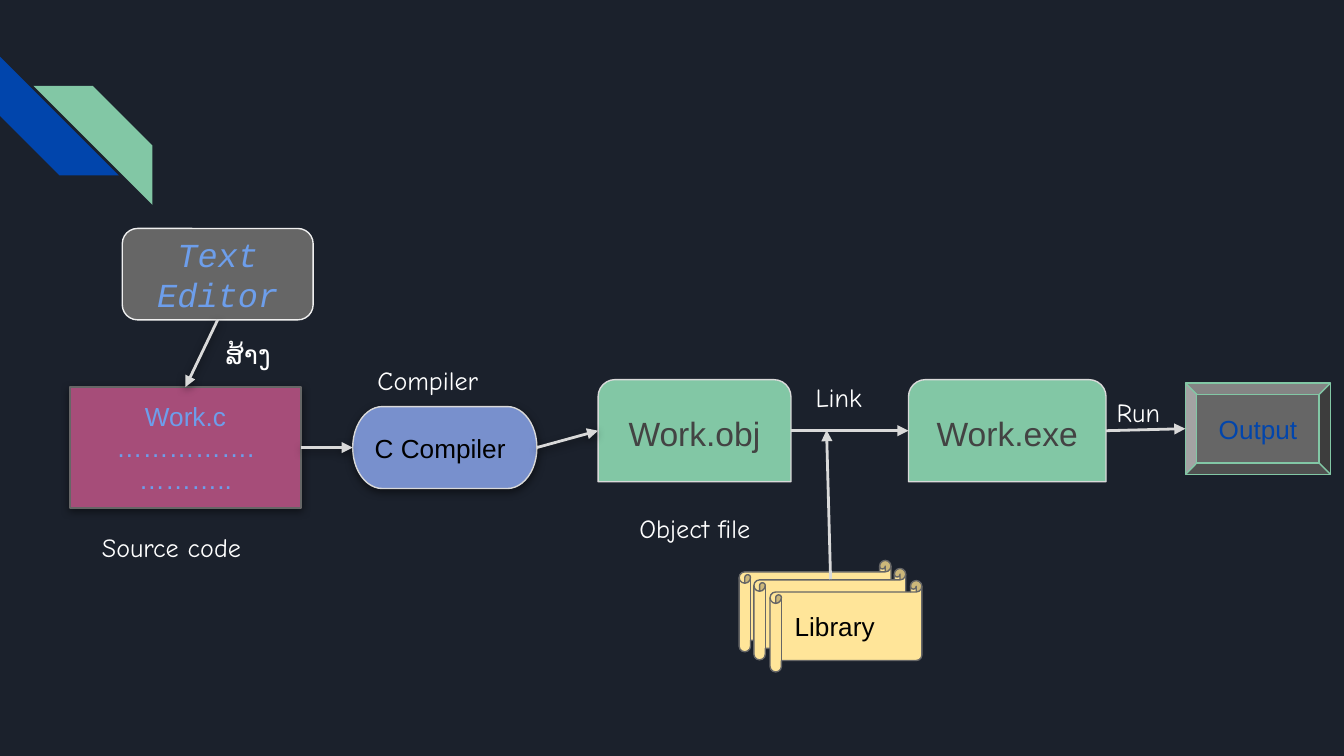
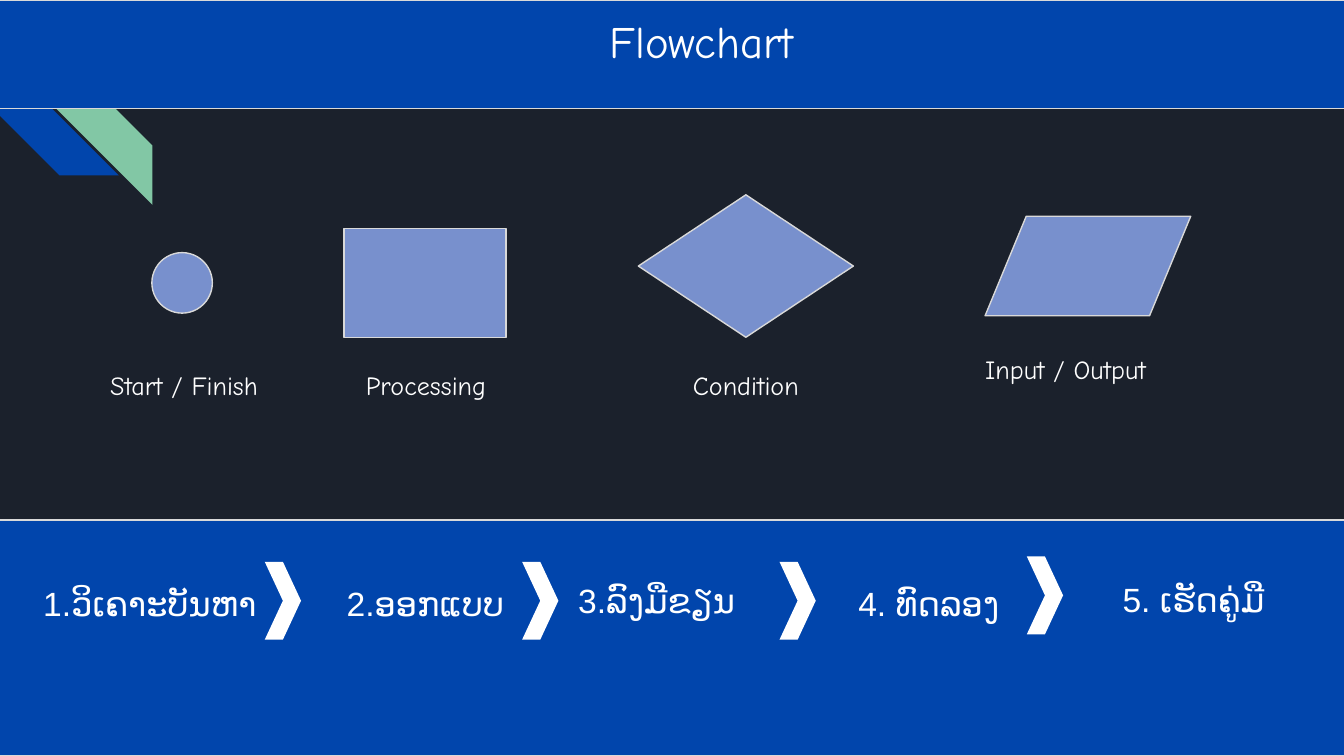
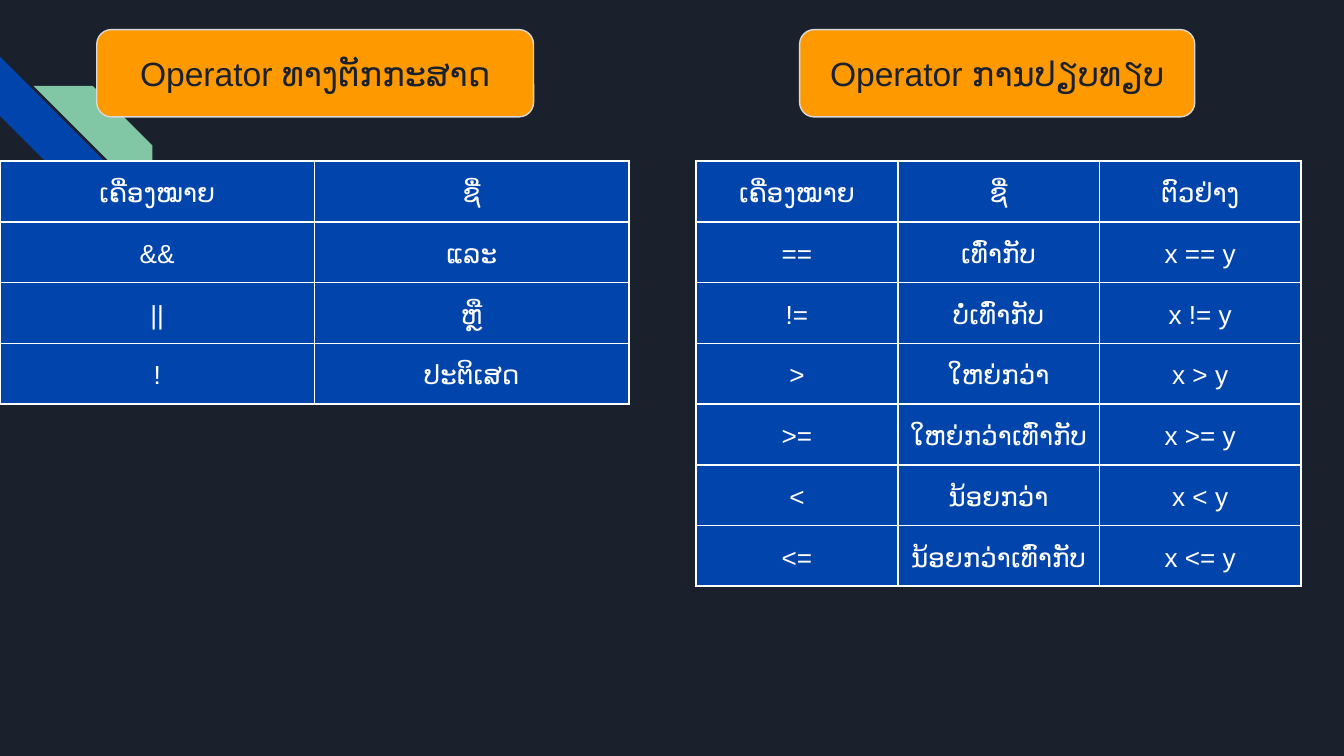
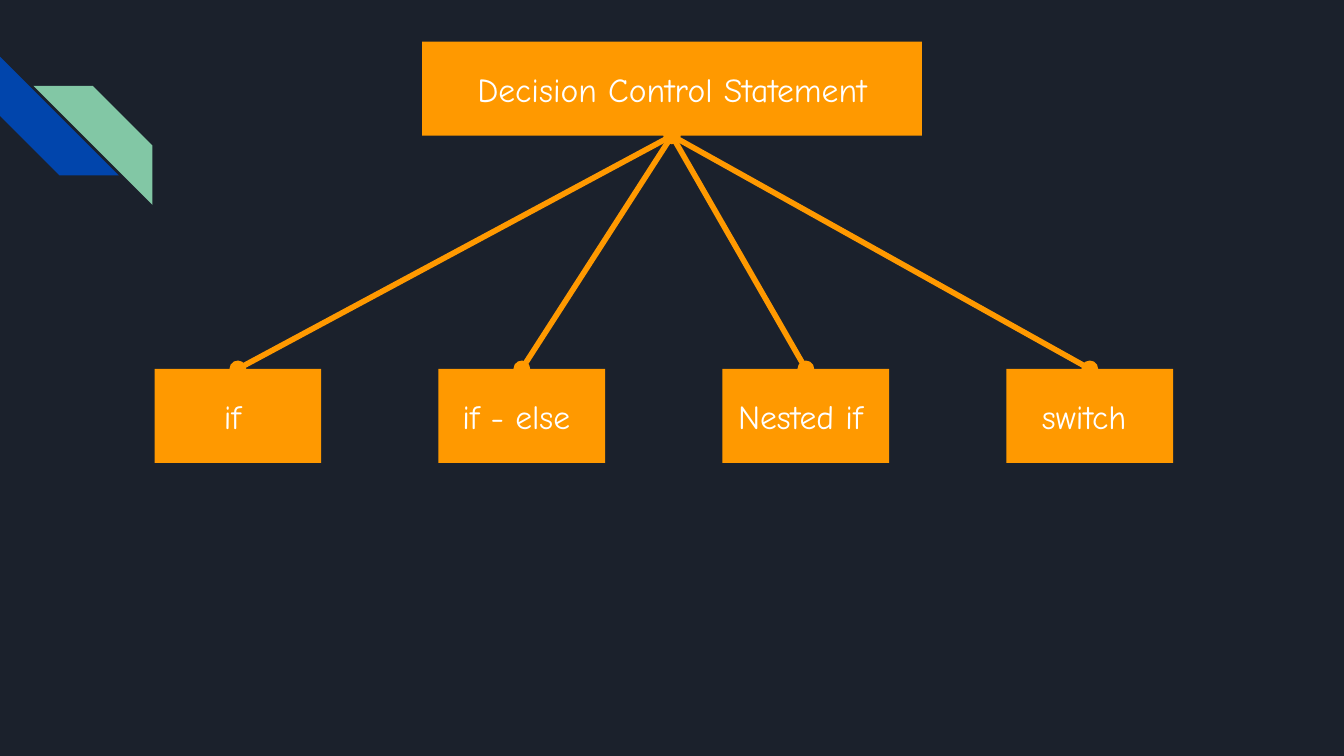
import pptx
import pptx.dml.color
import pptx.enum.shapes
import pptx.enum.text
import pptx.oxml
import pptx.oxml.ns
import pptx.util
from dataclasses import dataclass

KIND = pptx.enum.shapes.MSO_SHAPE
ALIGN = pptx.enum.text.PP_ALIGN
ANCHOR = pptx.enum.text.MSO_ANCHOR


@dataclass(frozen=True)
class Theme:
    night: str = "1B212C"
    blue: str = "0145AC"
    green: str = "82C7A5"
    periwinkle: str = "7890CD"
    orange: str = "FF9900"
    plum: str = "A64D79"
    gray: str = "666666"
    paper: str = "FFE599"
    sky: str = "6D9EEB"
    ink: str = "434343"
    pale: str = "D9D9D9"
    mist: str = "EFEFEF"
    white: str = "FFFFFF"
    black: str = "000000"
    sans: str = "Arial"
    hand: str = "Comic Neue"
    mono: str = "Courier New"
    lao: str = "Lato"
    title: int = 24
    large: int = 18
    body: int = 14
    thin: float = 0.75
    arrow: float = 1.5
    branch: float = 3


T = Theme()

# The slide is a grid of 100 columns by 56.25 rows; every place below is
# (left, top, width, height) in these square cells.
COLUMNS, ROWS = 100, 56.25
CELL = pptx.util.Inches(0.1)

# Text styles: size, font, colour, italic
TITLE = dict(size=T.title, name=T.hand, color=T.white)
LABEL = dict(size=T.body, name=T.hand, color=T.white)
LAO_LABEL = dict(size=T.body, name=T.lao, color=T.white)
CELL_TEXT = dict(size=T.body, name=T.sans, color=T.white)
STEP = dict(size=T.large, name=T.sans, color=T.white)
BRANCH = dict(size=T.large, name=T.hand, color=T.white)
HEADING = dict(size=T.large, name=T.sans, color=T.night)
EDITOR = dict(size=T.large, name=T.mono, color=T.sky, italic=True)
SOURCE = dict(size=T.body, name=T.sans, color=T.sky)
BINARY = dict(size=T.large, name=T.sans, color=T.ink)
PLAIN = dict(size=T.body, name=T.sans, color=T.black)
RESULT = dict(size=T.body, name=T.sans, color=T.blue)

# Slide 1: compile steps
STAGES = {
    "source": dict(kind=KIND.RECTANGLE, at=(5.2, 28.8, 17.2, 9), fill=T.plum, line=T.gray,
                   shadow=True, lines=["Work.c", "…………….", "……….."], style=SOURCE,
                   anchor=ANCHOR.TOP),
    "editor": dict(kind=KIND.ROUNDED_RECTANGLE, at=(9.1, 17, 14.2, 6.8), fill=T.gray,
                   line=T.mist, lines=["Text", "Editor"], style=EDITOR),
    "compiler": dict(kind=KIND.FLOWCHART_TERMINATOR, at=(26.25, 30.25, 13.7, 6.1),
                     fill=T.periwinkle, line=T.pale, shadow=True, lines=["C Compiler"],
                     style=PLAIN, align=ALIGN.LEFT),
    "object": dict(kind=KIND.ROUND_2_SAME_RECTANGLE, at=(44.5, 28.25, 14.35, 7.6), fill=T.green,
                   line=T.pale, lines=["Work.obj"], style=BINARY),
    "program": dict(kind=KIND.ROUND_2_SAME_RECTANGLE, at=(67.6, 28.25, 14.7, 7.6), fill=T.green,
                    line=T.pale, lines=["Work.exe"], style=BINARY),
    "library back": dict(kind=KIND.HORIZONTAL_SCROLL, at=(55, 41.7, 11.3, 6.8), fill=T.paper,
                         line=T.gray),
    "library middle": dict(kind=KIND.HORIZONTAL_SCROLL, at=(56.1, 42.3, 11.3, 6.8),
                           fill=T.paper, line=T.gray),
    "library": dict(kind=KIND.HORIZONTAL_SCROLL, at=(57.3, 43.2, 11.3, 6.8), fill=T.paper,
                    line=T.gray, lines=["Library"], style=PLAIN, align=ALIGN.LEFT),
    "output": dict(kind=KIND.BEVEL, at=(88.2, 28.5, 10.8, 6.8), fill=T.gray, line=T.green,
                   lines=["Output"], style=RESULT),
}
# from, its side, to, its side, shadow
FLOW = [
    ("editor", "bottom", "source", "top", True),
    ("source", "right", "compiler", "left", True),
    ("compiler", "right", "object", "left", True),
    ("object", "right", "program", "left", False),
    ("program", "right", "output", "left", False),
]
LIBRARY_LINK = (61.8, 43.1), (61.5, 32)
STAGE_LABELS = [
    ("ສ້າງ", (15.8, 24.2, 5.9, 4.1), LAO_LABEL, {}),
    ("Compiler", (27.1, 26.1, 12.1, 4.1), LABEL, {}),
    ("Link", (59.7, 27.4, 6.7, 4.1), LABEL, {}),
    ("Run", (82.1, 28.5, 6.7, 4.1), LABEL, {}),
    ("Source code", (6.6, 38.2, 14.3, 3.3), LABEL, dict(line_spacing=1.15)),
    ("Object file", (45.2, 36.8, 13, 3.3), LABEL, dict(line_spacing=1.15, alignment=ALIGN.CENTER)),
]

# Slide 2: flowchart symbols and working steps
BANDS = [(-0.1, 0, 100.3, 8.1), (-0.1, 38.7, 100.3, 17.5)]
FLOWCHART_TITLE = "Flowchart", (18.4, 0, 67.6, 8.1)
SYMBOLS = [
    (KIND.FLOWCHART_CONNECTOR, (11.3, 18.8, 4.5, 4.5), "Start / Finish", (5, 26.5, 17.4, 5.7)),
    (KIND.RECTANGLE, (25.6, 17, 12.05, 8.1), "Processing", (23.7, 26.5, 16, 5.7)),
    (KIND.FLOWCHART_DECISION, (47.5, 14.5, 16, 10.6), "Condition", (47.5, 26.5, 16, 5.7)),
    (KIND.FLOWCHART_DATA, (73.3, 16.1, 15.3, 7.4), "Input / Output", (71.3, 25.3, 16, 5.7)),
]
STEPS = [
    ("1.ວິເຄາະບັນຫາ", (1.9, 42.4, 18.5, 4.5), ANCHOR.TOP),
    ("2.ອອກແບບ", (22.4, 42.4, 18.5, 3.9), ANCHOR.TOP),
    ("3.ລົງມືຂຽນ", (39.6, 42.7, 18.5, 3.9), ANCHOR.MIDDLE),
    ("4. ທົດລອງ", (61.7, 42.4, 14.8, 4.5), ANCHOR.TOP),
    ("5. ເຮັດຄູ່ມື", (81.4, 42.1, 14.8, 4.5), ANCHOR.TOP),
]
CHEVRON_SIZE = 2.7, 5.8
CHEVRONS = [(19.7, 41.8), (38.85, 41.8), (58, 41.8), (76.4, 41.4)]

# Slide 3: operators
OPERATORS = [
    dict(heading="Operator ທາງຕັກກະສາດ", heading_at=(7.2, 2.2, 32.5, 6.5), left=0, column=23.4,
         rows=[("ເຄື່ອງໝາຍ", "ຊື່"), ("&&", "ແລະ"), ("||", "ຫຼື"), ("!", "ປະຕິເສດ")]),
    dict(heading="Operator ການປຽບທຽບ", heading_at=(59.5, 2.2, 29.4, 6.5), left=51.8, column=15,
         rows=[("ເຄື່ອງໝາຍ", "ຊື່", "ຕົວຢ່າງ"),
               ("==", "ເທົ່າກັບ", "x == y"),
               ("!=", "ບໍ່ເທົ່າກັບ", "x != y"),
               (">", "ໃຫຍ່ກວ່າ", "x > y"),
               (">=", "ໃຫຍ່ກວ່າເທົ່າກັບ", "x >= y"),
               ("<", "ນ້ອຍກວ່າ", "x < y"),
               ("<=", "ນ້ອຍກວ່າເທົ່າກັບ", "x <= y")]),
]
TABLE_TOP, HEADER_ROW, BODY_ROW = 12, 4.2, 4.5

# Slide 4: decision statements
DECISION = "Decision Control Statement", (31.4, 3.1, 37.2, 7)
DECISION_KINDS = ["if ", "if - else ", "Nested if ", "switch "]
KIND_LEFT, KIND_TOP, KIND_STEP, KIND_SIZE = 11.5, 27.45, 21.13, (12.4, 7)


# Helpers
def cells(*lengths):
    return [round(length * CELL) for length in lengths]


def rgb(color):
    return pptx.dml.color.RGBColor.from_string(color)


def add_xml(parent, tag, **attributes):
    child = pptx.oxml.ns.qn(tag)
    element = parent.makeelement(child, {key: str(value) for key, value in attributes.items()})
    parent.append(element)
    return element


def paint(fill, color):
    fill.solid()
    fill.fore_color.rgb = rgb(color)


def cast_shadow(properties, visible):
    effects = add_xml(properties, "a:effectLst")
    if visible:
        shadow = add_xml(effects, "a:outerShdw", blurRad=pptx.util.Pt(4.5),
                         dist=pptx.util.Pt(1.5), dir=90 * 60000, algn="bl", rotWithShape=0)
        tint = add_xml(shadow, "a:srgbClr", val=T.black)
        add_xml(tint, "a:alpha", val=50000)


def write(frame, lines, style, **layout):
    for number, line in enumerate(lines):
        paragraph = frame.paragraphs[0] if number == 0 else frame.add_paragraph()
        for attribute, value in layout.items():
            setattr(paragraph, attribute, value)
        run = paragraph.add_run()
        run.text = line
        values = dict(style, size=pptx.util.Pt(style["size"]))
        run.font.color.rgb = rgb(values.pop("color"))
        for attribute, value in values.items():
            setattr(run.font, attribute, value)
        for script in ("a:ea", "a:cs"):
            add_xml(run.font._element, script, typeface=style["name"])


def prepare(frame, anchor):
    values = dict.fromkeys(("margin_left", "margin_right", "margin_top", "margin_bottom"), CELL)
    values.update(word_wrap=True, vertical_anchor=anchor)
    for attribute, value in values.items():
        setattr(frame, attribute, value)


def add_label(slide, text, at, style, anchor=ANCHOR.TOP, **layout):
    frame = slide.shapes.add_textbox(*cells(*at)).text_frame
    prepare(frame, anchor)
    write(frame, [text], style, **layout)


def add_part(slide, kind, at, fill, line=None, shadow=False, lines=(), style=None,
             align=ALIGN.CENTER, anchor=ANCHOR.MIDDLE):
    part = slide.shapes.add_shape(kind, *cells(*at))
    paint(part.fill, fill)
    if line:
        paint(part.line.fill, line)
        part.line.width = pptx.util.Pt(T.thin)
    else:
        part.line.fill.background()
    if shadow:
        cast_shadow(part._element.spPr, True)
    else:
        part.shadow.inherit = False
    prepare(part.text_frame, anchor)
    write(part.text_frame, lines, style, alignment=align)
    return part


def add_line(slide, start, end, color, width, shadow=False, **ends):
    line = slide.shapes.add_connector(pptx.enum.shapes.MSO_CONNECTOR.STRAIGHT,
                                      *cells(*start, *end))
    paint(line.line.fill, color)
    line.line.width = pptx.util.Pt(width)
    for end_name in ("headEnd", "tailEnd"):
        if end_name in ends:
            add_xml(line.line._get_or_add_ln(), "a:" + end_name, type=ends[end_name])
    cast_shadow(line._element.spPr, shadow)


def side(at, name):
    left, top, width, height = at
    across, down = {"top": (0.5, 0), "bottom": (0.5, 1), "left": (0, 0.5), "right": (1, 0.5)}[name]
    return left + across * width, top + down * height


def add_slide(deck):
    slide = deck.slides.add_slide(deck.slide_layouts[6])
    blue = add_part(slide, KIND.DIAGONAL_STRIPE, (0, 4.2, 8.85, 8.85), T.blue)
    blue.rotation = 270
    green = add_part(slide, KIND.DIAGONAL_STRIPE, (2.5, 6.4, 8.85, 8.85), T.green)
    green._element.spPr.xfrm.set("flipH", "1")
    return slide


def add_grid(slide, rows, left, column):
    heights = [HEADER_ROW] + [BODY_ROW] * (len(rows) - 1)
    place = cells(left, TABLE_TOP, column * len(rows[0]), sum(heights))
    table = slide.shapes.add_table(len(rows), len(rows[0]), *place).table
    table.first_row = table.horz_banding = False
    for table_column in table.columns:
        table_column.width = cells(column)[0]
    for table_row, height, texts in zip(table.rows, heights, rows):
        table_row.height = cells(height)[0]
        for cell, text in zip(table_row.cells, texts):
            cell.margin_left = cell.margin_right = cells(0.75)[0]
            cell.margin_top = cell.margin_bottom = CELL
            for edge in ("a:lnL", "a:lnR", "a:lnT", "a:lnB"):
                border = add_xml(cell._tc.get_or_add_tcPr(), edge, w=pptx.util.Pt(1))
                add_xml(add_xml(border, "a:solidFill"), "a:srgbClr", val=T.white)
            paint(cell.fill, T.blue)
            write(cell.text_frame, [text], CELL_TEXT, alignment=ALIGN.CENTER, line_spacing=1.15)


# Slides
def compile_slide(slide):
    for stage in STAGES.values():
        add_part(slide, **stage)
    for source, source_side, target, target_side, shadow in FLOW:
        add_line(slide, side(STAGES[source]["at"], source_side),
                 side(STAGES[target]["at"], target_side), T.pale, T.arrow, shadow,
                 tailEnd="triangle")
    add_line(slide, *LIBRARY_LINK, T.pale, T.arrow, tailEnd="triangle")
    for text, at, style, layout in STAGE_LABELS:
        add_label(slide, text, at, style, **layout)


def flowchart_slide(slide):
    for band in BANDS:
        add_part(slide, KIND.RECTANGLE, band, T.blue, T.pale)
    add_label(slide, *FLOWCHART_TITLE, TITLE, alignment=ALIGN.CENTER)
    for kind, at, text, text_at in SYMBOLS:
        add_part(slide, kind, at, T.periwinkle, T.pale)
        add_label(slide, text, text_at, LABEL, alignment=ALIGN.CENTER)
    for text, at, anchor in STEPS:
        add_label(slide, text, at, STEP, anchor, alignment=ALIGN.CENTER)
    for corner in CHEVRONS:
        add_part(slide, KIND.CHEVRON, corner + CHEVRON_SIZE, T.white)


def operator_slide(slide):
    for group in OPERATORS:
        add_part(slide, KIND.ROUNDED_RECTANGLE, group["heading_at"], T.orange, T.pale,
                 lines=[group["heading"]], style=HEADING)
        add_grid(slide, group["rows"], group["left"], group["column"])


def decision_slide(slide):
    text, root = DECISION
    add_part(slide, KIND.RECTANGLE, root, T.orange, lines=[text], style=BRANCH)
    places = [(KIND_LEFT + number * KIND_STEP, KIND_TOP) + KIND_SIZE
              for number in range(len(DECISION_KINDS))]
    for text, at in zip(DECISION_KINDS, places):
        add_part(slide, KIND.RECTANGLE, at, T.orange, lines=[text], style=BRANCH)
    for at in places:
        add_line(slide, side(root, "bottom"), side(at, "top"), T.orange, T.branch,
                 headEnd="oval", tailEnd="oval")


def main():
    deck = pptx.Presentation()
    deck.slide_width, deck.slide_height = cells(COLUMNS, ROWS)
    paint(deck.slide_master.background.fill, T.night)
    for build in (compile_slide, flowchart_slide, operator_slide, decision_slide):
        build(add_slide(deck))
    deck.save("out.pptx")


if __name__ == "__main__":
    main()
